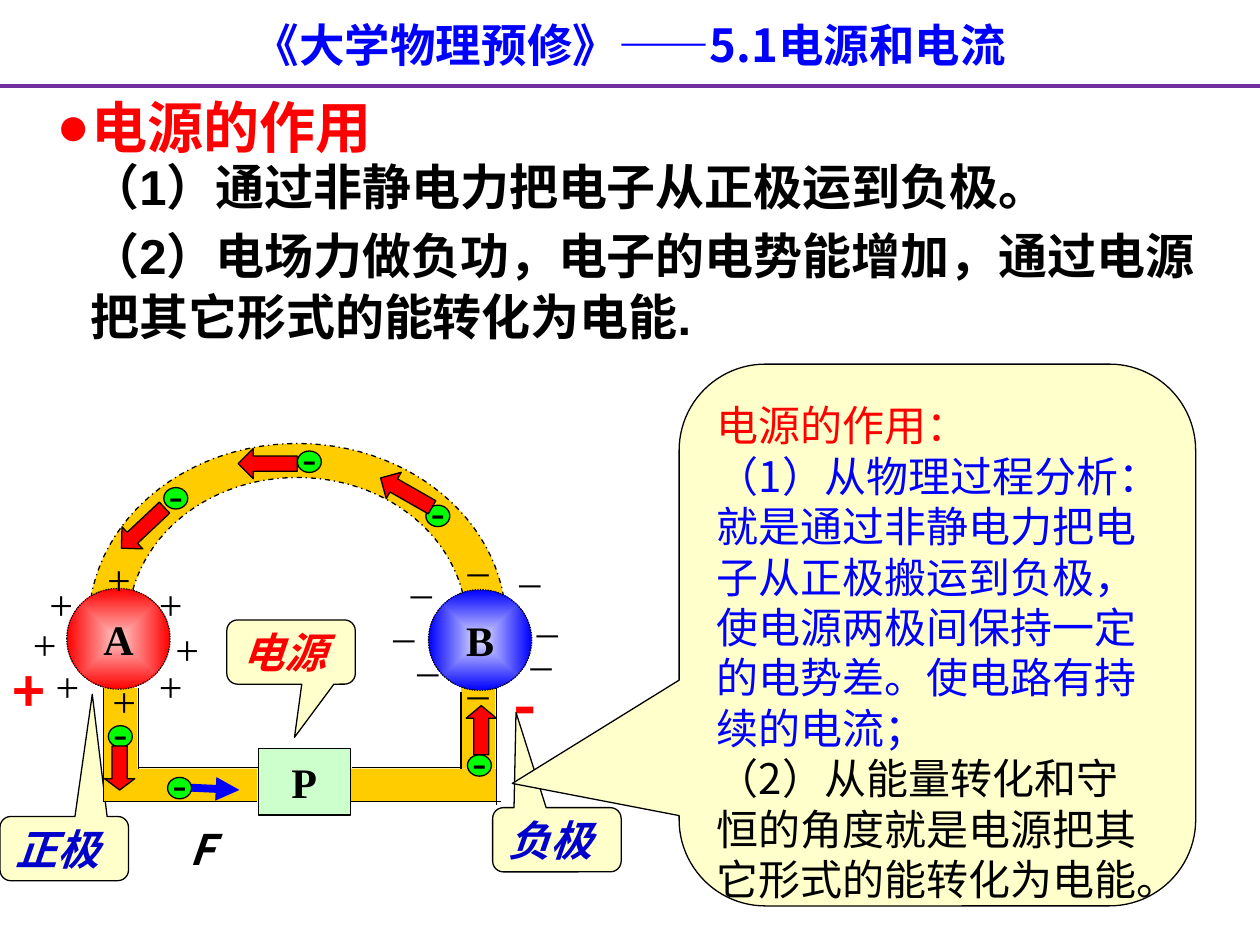
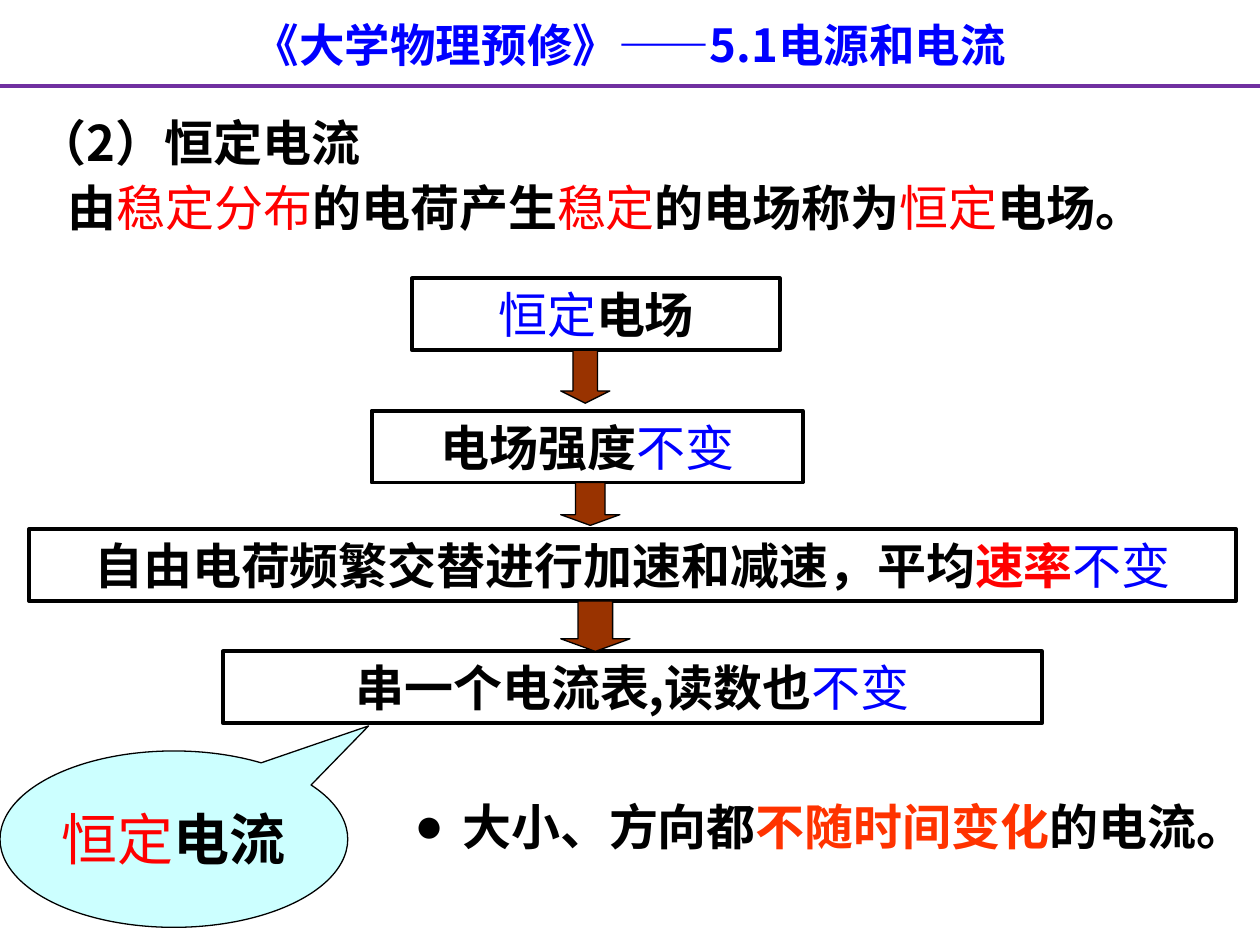
from dataclasses import dataclass

import pptx
import pptx.dml.color
import pptx.enum.shapes
import pptx.enum.text
import pptx.oxml
import pptx.oxml.ns
import pptx.util
from lxml import etree


@dataclass(frozen=True)
class Theme:
    black: str = "000000"
    blue: str = "0000FF"
    navy: str = "0000CC"
    red: str = "FF0000"
    orange: str = "FF3300"
    purple: str = "7030A0"
    brown: str = "993300"
    wire: str = "FFCC00"
    green: str = "00FF00"
    mint: str = "CCFFCC"
    cream: str = "FFFFCC"
    aqua: str = "CCFFFF"
    sans: str = "Noto Sans CJK SC"
    serif: str = "Times New Roman"
    arial: str = "Arial"
    title: int = 26
    heading: int = 32
    body: int = 28
    label: int = 24


theme = Theme()
qn = pptx.oxml.ns.qn
rgb = pptx.dml.color.RGBColor.from_string
Pt = pptx.util.Pt
SHAPE = pptx.enum.shapes.MSO_SHAPE
ALIGN = pptx.enum.text.PP_ALIGN
ANCHOR = pptx.enum.text.MSO_ANCHOR
DASH = pptx.enum.dml.MSO_LINE

presentation = pptx.Presentation()
presentation.slide_width = pptx.util.Inches(10)
presentation.slide_height = pptx.util.Inches(7.5)

# The slide is a grid of 100 columns and 75 rows
column = presentation.slide_width // 100
row = presentation.slide_height // 75


def place(slide, kind, box, fill=None, line=None, width=0.75, adjustments=(), rotation=0):
    """Add a shape, or a text box when kind is None, at a grid box."""
    left, top, columns, rows = box
    frame = [int(left * column), int(top * row), int(columns * column), int(rows * row)]
    if kind is None:
        return slide.shapes.add_textbox(*frame)
    shape = slide.shapes.add_shape(kind, *frame)
    shape.shadow.inherit = False
    shape.rotation = rotation
    for index, value in enumerate(adjustments):
        shape.adjustments[index] = value
    if fill:
        shape.fill.solid()
        shape.fill.fore_color.rgb = rgb(fill)
    else:
        shape.fill.background()
    if line:
        shape.line.color.rgb = rgb(line)
        shape.line.width = Pt(width)
    else:
        shape.line.fill.background()
    return shape


def write(shape, paragraphs, size, font=theme.sans, align=ALIGN.LEFT, anchor=ANCHOR.MIDDLE,
          italic=False, wrap=True, spacing=None):
    """Fill a shape with paragraphs, each a list of (text, colour, bold)."""
    frame = shape.text_frame
    frame.word_wrap = wrap
    frame.auto_size = pptx.enum.text.MSO_AUTO_SIZE.NONE
    frame.vertical_anchor = anchor
    frame.margin_top = frame.margin_bottom = 0
    for index, pieces in enumerate(paragraphs):
        paragraph = frame.add_paragraph() if index else frame.paragraphs[0]
        paragraph.alignment = align
        if spacing:
            paragraph.line_spacing = Pt(spacing)
        for text, colour, bold in pieces:
            run = paragraph.add_run()
            run.text = text
            run.font.size = Pt(size)
            run.font.bold = bold
            run.font.italic = italic
            run.font.color.rgb = rgb(colour)
            run.font.name = font
            east_asian = etree.SubElement(run.font._element, qn("a:ea"))
            east_asian.set("typeface", theme.sans)


# Both slides: title and rule
slides = []
connectors = []
for number in range(2):
    slide = presentation.slides.add_slide(presentation.slide_layouts[5])
    title = slide.shapes.title
    title.left, title.top = 0, int(0.8 * row)
    title.width, title.height = presentation.slide_width, int(5.4 * row)
    write(title, [[("《大学物理预修》——5.1电源和电流", theme.blue, True)]], theme.title, align=ALIGN.CENTER)
    slides.append(slide)
    connectors.append((slide, 0, 6.8, 100, 6.8, theme.purple, 2.25))
source_slide, current_slide = slides

# Slide 1: heading and labels
heading = place(source_slide, None, (3.5, 6.8, 68, 6.4))
write(heading, [[("电源的作用", theme.red, True)]], theme.heading)
for box, text, colour, size, italic in [
    ((0, 51.6, 6.3, 6.3), "+", theme.red, theme.heading, False),
    ((39.8, 52.3, 6.3, 7), "-", theme.red, 36, False),
    ((14.1, 64.8, 6.3, 5.1), "F", theme.black, theme.label, True),
]:
    write(place(source_slide, None, box), [[(text, colour, True)]], size, italic=italic)

# Slide 1: callouts
for left, top, tail, text, colour in [
    (18, 49.2, (0.027, 1.327), "电源", theme.red),
    (0, 64.8, (0.218, -2.402), "正极", theme.navy),
    (39.1, 64.1, (-0.318, -1.983), "负极", theme.navy),
]:
    callout = place(source_slide, SHAPE.ROUNDED_RECTANGULAR_CALLOUT, (left, top, 10.2, 5.1),
                    theme.cream, theme.black, adjustments=(*tail, 0.167))
    write(callout, [[(text, colour, True)]], theme.label, italic=True)
summary = place(source_slide, SHAPE.ROUNDED_RECTANGULAR_CALLOUT, (53.9, 28.9, 41, 43),
                theme.cream, theme.black, adjustments=(-0.823, 0.274, 0.167))
write(summary, [
    [("电源的作用：", theme.red, False)],
    [("（1）从物理过程分析：就是通过非静电力把电子从正极搬运到负极，使电源两极间保持一定的电势差。"
      "使电路有持续的电流；", theme.blue, False)],
    [("（2）从能量转化和守恒的角度就是电源把其它形式的能转化为电能。", theme.black, False)],
], theme.label, anchor=ANCHOR.TOP, spacing=28.8)
summary.text_frame.margin_top = Pt(6)

# Slide 1: curved wire, two mirrored Bezier arcs
arcs = []
for start, first, second, crown in [
    ((10.3, 47.9), (11.3, 42.1), (16.9, 37.9), (23.6, 37.9)),
    ((7.2, 47.5), (8.4, 40.4), (15.4, 35.2), (23.6, 35.2)),
]:
    half = []
    for step in range(25):
        t = step / 24
        weights = ((1 - t) ** 3, 3 * t * (1 - t) ** 2, 3 * t ** 2 * (1 - t), t ** 3)
        half.append(tuple(sum(weight * point[axis] for weight, point in
                              zip(weights, (start, first, second, crown))) for axis in (0, 1)))
    arcs.append(half + [(2 * crown[0] - x, y) for x, y in reversed(half)])
outline = [(x * column, y * row) for x, y in arcs[0] + arcs[1][::-1]]
builder = source_slide.shapes.build_freeform(*outline[0])
builder.add_line_segments(outline[1:], close=True)
arch = builder.convert_to_shape()
arch.shadow.inherit = False
arch.fill.solid()
arch.fill.fore_color.rgb = rgb(theme.wire)
arch.line.color.rgb = rgb(theme.black)
arch.line.width = Pt(0.75)
arch.line.dash_style = DASH.DASH_DOT

# Slide 1: straight wires with their edges
for box in [(8.2, 61, 12.2, 2.6), (27.7, 61, 11.7, 2.6), (8.2, 54.6, 2.7, 6.8), (36.6, 53.8, 2.7, 7.2)]:
    place(source_slide, SHAPE.RECTANGLE, box, theme.wire)
for ends in [
    (36.6, 54.9, 36.6, 61), (39.4, 54.2, 39.4, 63.9), (27.9, 60.9, 36.6, 60.9), (8.2, 54.6, 8.2, 63.6),
    (11, 60.9, 20.5, 60.9), (8.2, 63.6, 20.4, 63.6), (11, 54.6, 11, 61), (27.6, 63.6, 39.8, 63.6),
]:
    connectors.append((source_slide, *ends, theme.black, 0.75))
connectors.append((source_slide, 14.8, 62.5, 19, 62.7, theme.blue, 4.5))
for slide, left, top, right, bottom, colour, width in connectors:
    connector = slide.shapes.add_connector(
        pptx.enum.shapes.MSO_CONNECTOR.STRAIGHT,
        int(left * column), int(top * row), int(right * column), int(bottom * row))
    connector.line.color.rgb = rgb(colour)
    connector.line.width = Pt(width)
    etree.SubElement(connector._element.spPr, qn("a:effectLst"))
# The last connector is the force arrow
etree.SubElement(connector.line._get_or_add_ln(), qn("a:tailEnd")).set("type", "triangle")

# Slide 1: poles and source box
for left, top, letter, inner, outer in [
    (5.3, 46.7, "A", "FFC6C6", theme.red), (34, 46.8, "B", "DFDFFF", theme.blue),
]:
    pole = place(source_slide, SHAPE.OVAL, (left, top, 8.2, 8), line=theme.black)
    pole.line.dash_style = DASH.ROUND_DOT
    pole.fill.gradient()
    for stop, colour in zip(pole.fill.gradient_stops, (inner, outer)):
        stop.color.rgb = rgb(colour)
    gradient = pole._element.spPr.find(qn("a:gradFill"))
    gradient.remove(gradient.find(qn("a:lin")))
    spread = etree.SubElement(gradient, qn("a:path"))
    spread.set("path", "shape")
    centre = etree.SubElement(spread, qn("a:fillToRect"))
    for side in "ltrb":
        centre.set(side, "50000")
    write(pole, [[(letter, theme.black, True)]], theme.label, theme.serif, ALIGN.CENTER, wrap=False)
source_box = place(source_slide, SHAPE.RECTANGLE, (20.5, 59.4, 7.3, 5.3), theme.mint, theme.black)
write(source_box, [[("P", theme.black, True)]], theme.label, theme.serif, ALIGN.CENTER, wrap=False)

# Slide 1: charges around the poles
charges = {
    "+": [(7.9, 53.1), (7.5, 43.4), (1.6, 48.6), (12.9, 49), (11.6, 51.9), (3.4, 51.9), (2.9, 45.4), (11.6, 45.4)],
    "_": [(41.5, 46.4), (41, 49), (40.1, 42.4), (30.1, 46.8), (36, 51.3), (32, 49.5), (36, 41.5), (31.5, 43.3)],
}
for sign, corners in charges.items():
    for left, top in corners:
        charge = place(source_slide, None, (left, top, 3.9, 5))
        write(charge, [[(sign, theme.black, False)]], theme.label, theme.serif, ALIGN.CENTER, wrap=False)

# Slide 1: electrons and the arrows of their motion
for left, top in [(23.6, 35.8), (8.6, 57.6), (37.1, 59.9), (13, 38.7), (33.8, 40.1), (13.3, 61.7)]:
    electron = place(source_slide, SHAPE.OVAL, (left, top, 1.9, 1.7), theme.green, theme.black)
    write(electron, [[("-", theme.black, False)]], theme.label, theme.serif, ALIGN.CENTER, wrap=False)
    electron.text_frame.margin_top = int(0.5 * row)
    electron.text_frame.margin_bottom = int(1.3 * row)
for kind, box, head, rotation in [
    (SHAPE.DOWN_ARROW, (8.3, 59.2, 2.4, 3.5), 0.375, 0),
    (SHAPE.UP_ARROW, (37, 56, 2.4, 3.9), 0.415, 0),
    (SHAPE.LEFT_ARROW, (29.9, 37.9, 4.7, 2.4), 0.5, 29.7),
    (SHAPE.LEFT_ARROW, (18.9, 35.6, 4.7, 2.4), 0.5, 0),
    (SHAPE.LEFT_ARROW, (9, 40.7, 4.7, 2.4), 0.5, 316.8),
]:
    place(source_slide, kind, box, theme.red, theme.black, adjustments=(0.5, head), rotation=rotation)

# Slide 1: the two statements
for box, text in [
    ((6.2, 17.2, 91, 10.4), "（2）电场力做负功，电子的电势能增加，通过电源把其它形式的能转化为电能."),
    ((6.2, 11.7, 78.4, 5.7), "（1）通过非静电力把电子从正极运到负极。"),
]:
    statement = place(source_slide, None, box)
    write(statement, [[(text, theme.black, True)]], theme.body, theme.arial, anchor=ANCHOR.TOP, spacing=35)
    statement.text_frame.margin_top = int(0.5 * row)

# Slide 2: chain of reasoning
unchanged = ("不变", theme.blue, False)
for box, pieces in [
    ((32.7, 22.1, 29.2, 5.7), [("恒定", theme.blue, False), ("电场", theme.black, True)]),
    ((29.5, 32.6, 34.2, 5.7), [("电场强度", theme.black, True), unchanged]),
    ((2.3, 42, 95.8, 5.7), [("自由电荷频繁交替进行加速和减速，平均", theme.black, True),
                            ("速率", theme.red, True), unchanged]),
    ((17.7, 51.7, 65, 5.7), [("串一个电流表,读数也", theme.black, True), unchanged]),
]:
    link = place(current_slide, SHAPE.RECTANGLE, box, line=theme.black, width=2.25)
    write(link, [pieces], theme.body, align=ALIGN.CENTER)
for top, columns, rows in [(27.8, 3.9, 4.2), (38.3, 4.7, 3.4), (47.7, 5.5, 4)]:
    place(current_slide, SHAPE.DOWN_ARROW, (44.5, top, columns, rows), theme.brown, theme.black,
          adjustments=(0.5, 0.25))

# Slide 2: callout and plain text
place(current_slide, SHAPE.OVAL_CALLOUT, (0, 59.6, 27.6, 14), theme.aqua, theme.black,
      adjustments=(-0.56, 0.642), rotation=180)
write(place(current_slide, None, (0.8, 63.3, 26, 6.4)),
      [[("恒定", theme.red, False), ("电流", theme.black, True)]], theme.heading, align=ALIGN.CENTER)
write(place(current_slide, None, (2, 8.4, 55.9, 5.7)), [[("（2）恒定电流", theme.black, True)]], theme.body)
write(place(current_slide, None, (4.4, 13.6, 95.6, 5.7)), [[
    ("由", theme.black, True), ("稳定分布", theme.red, False), ("的电荷产生", theme.black, True),
    ("稳定", theme.red, False), ("的电场称为", theme.black, True), ("恒定", theme.red, False),
    ("电场。", theme.black, True)]], theme.body)
definition = place(current_slide, None, (31.9, 62.7, 68.1, 5.7))
write(definition, [[("大小、方向都", theme.black, True), ("不随时间变化", theme.orange, True),
                    ("的电流。", theme.black, True)]], theme.body)

# Bullets
for shape, indent in [(heading, 2.8), (definition, 3.8)]:
    properties = shape.text_frame.paragraphs[0]._p.get_or_add_pPr()
    properties.set("marL", str(int(indent * column)))
    properties.set("indent", str(-int(indent * column)))
    etree.SubElement(properties, qn("a:buFont")).set("typeface", theme.arial)
    etree.SubElement(properties, qn("a:buChar")).set("char", "●")

presentation.save("out.pptx")
